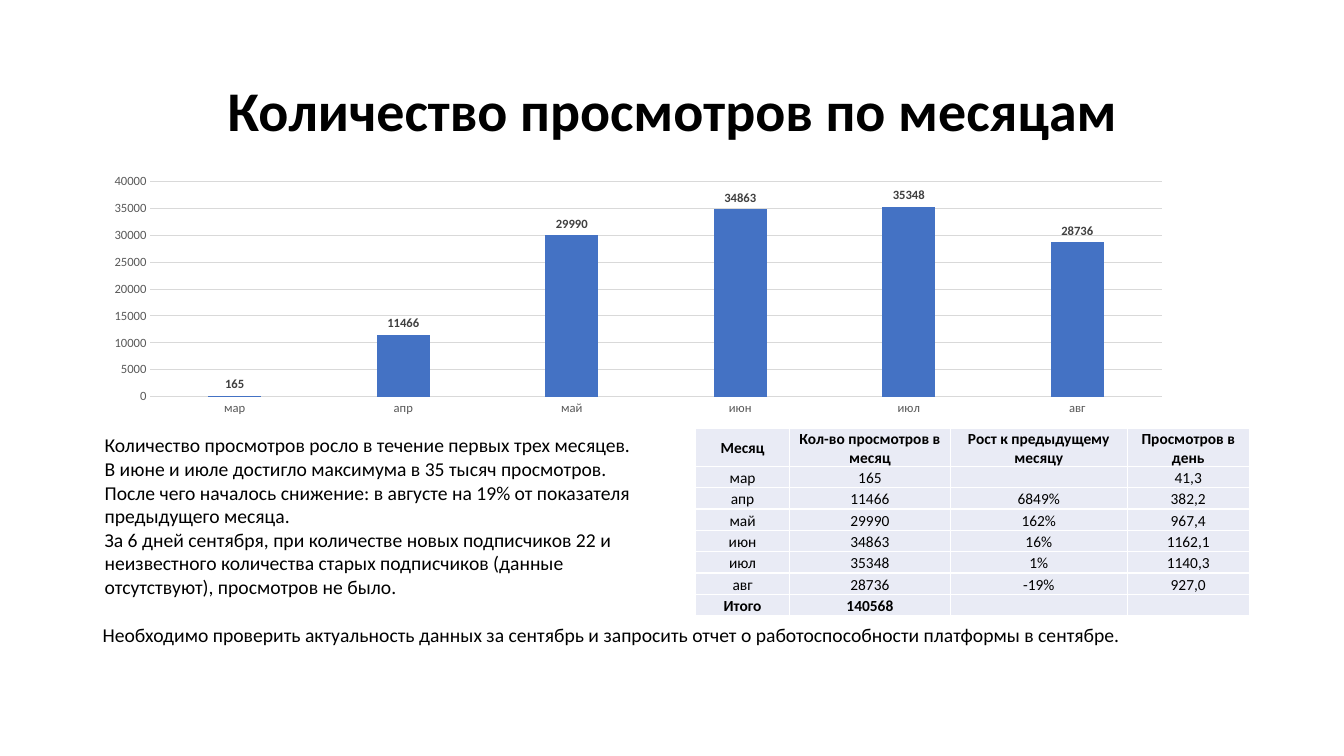
from lxml.etree import SubElement
from pptx import Presentation
from pptx.chart.data import CategoryChartData
from pptx.dml.color import RGBColor
from pptx.enum.chart import XL_CHART_TYPE as ChartType, XL_LABEL_POSITION as LabelPos, XL_TICK_MARK as Tick
from pptx.enum.text import MSO_ANCHOR as Anchor, MSO_AUTO_SIZE as AutoSize, PP_ALIGN as Align
from pptx.oxml.ns import qn
from pptx.util import Inches, Pt

BLACK = RGBColor(0x00, 0x00, 0x00)
WHITE = RGBColor(0xFF, 0xFF, 0xFF)
BLUE = RGBColor(0x44, 0x72, 0xC4)
PALE = RGBColor(0xE9, 0xEB, 0xF5)
GRID = RGBColor(0xD9, 0xD9, 0xD9)
AXIS = RGBColor(0x59, 0x59, 0x59)
LABEL = RGBColor(0x40, 0x40, 0x40)
FONT = "Calibri"

TITLE = "Количество просмотров по месяцам"
MONTHS = ["мар", "апр", "май", "июн", "июл", "авг"]
VIEWS = [165, 11466, 29990, 34863, 35348, 28736]
GROWTH = ["", "6849%", "162%", "16%", "1%", "-19%"]
DAILY = ["41,3", "382,2", "967,4", "1162,1", "1140,3", "927,0"]
HEADERS = ["Месяц", "Кол-во просмотров в месяц", "Рост к предыдущему месяцу", "Просмотров в день"]
COLUMN_SHARES = [0.17, 0.29, 0.32, 0.22]
HEADER_SHARE = 0.2
COMMENTS = [
    "Количество просмотров росло в течение первых трех месяцев.",
    "В июне и июле достигло максимума в 35 тысяч просмотров.",
    "После чего началось снижение: в августе на 19% от показателя предыдущего месяца.",
    "За 6 дней сентября, при количестве новых подписчиков 22 и неизвестного количества "
    "старых подписчиков (данные отсутствуют), просмотров не было.",
]
ACTION = ("Необходимо проверить актуальность данных за сентябрь и запросить отчет "
          "о работоспособности платформы в сентябре.")

prs = Presentation()
prs.slide_width, prs.slide_height = Inches(13.33), Inches(7.5)


def box(left, top, width, height):
    w, h = prs.slide_width / 100, prs.slide_height / 100
    return int(left * w), int(top * h), int(width * w), int(height * h)


def style(font, size, color, bold=False):
    font.name, font.size, font.bold = FONT, Pt(size), bold
    font.color.rgb = color


def add_title(slide, area):
    sp = slide.shapes.title
    sp.left, sp.top, sp.width, sp.height = area
    tf = sp.text_frame
    tf.text = TITLE
    tf.vertical_anchor = Anchor.MIDDLE
    p = tf.paragraphs[0]
    p.alignment, p.line_spacing = Align.CENTER, 0.9
    style(p.font, 40, BLACK, True)


def add_text(slide, area, lines):
    tf = slide.shapes.add_textbox(*area).text_frame
    tf.word_wrap, tf.auto_size = True, AutoSize.SHAPE_TO_FIT_TEXT
    tf.text = "\n".join(lines)
    for p in tf.paragraphs:
        style(p.font, 14, BLACK)


def add_views_chart(slide, area):
    data = CategoryChartData()
    data.categories = MONTHS
    data.add_series("Просмотры", VIEWS)
    chart = slide.shapes.add_chart(ChartType.COLUMN_CLUSTERED, *area, data).chart
    style(chart.font, 10, BLACK)
    chart.has_legend = chart.has_title = False
    for axis in (chart.category_axis, chart.value_axis):
        axis.major_tick_mark = axis.minor_tick_mark = Tick.NONE
        style(axis.tick_labels.font, 9, AXIS)
    chart.value_axis.format.line.fill.background()
    for line in (chart.category_axis.format.line, chart.value_axis.major_gridlines.format.line):
        line.color.rgb, line.width = GRID, Pt(0.75)
    plot = chart.plots[0]
    plot.gap_width, plot.overlap, plot.vary_by_categories = 219, -27, False
    fill = plot.series[0].format.fill
    fill.solid()
    fill.fore_color.rgb = BLUE
    plot.has_data_labels = True
    labels = plot.data_labels
    labels.show_value, labels.position = True, LabelPos.OUTSIDE_END
    style(labels.font, 9, LABEL, True)


def format_cell(cell, text, bold, anchor):
    cell.text, cell.vertical_anchor = text, anchor
    cell.margin_left = cell.margin_right = cell.margin_top = Inches(0.01)
    cell.margin_bottom = 0
    p = cell.text_frame.paragraphs[0]
    p.alignment = Align.CENTER
    style(p.font, 11, BLACK, bold)
    tc_pr = cell._tc.get_or_add_tcPr()
    for side in ("lnL", "lnR", "lnT", "lnB"):
        ln = SubElement(tc_pr, qn(f"a:{side}"), w=str(Pt(1)))
        SubElement(SubElement(ln, qn("a:solidFill")), qn("a:srgbClr"), val=str(WHITE))
    cell.fill.solid()
    cell.fill.fore_color.rgb = PALE


def add_views_table(slide, area):
    left, top, width, height = area
    body = [list(row) for row in zip(MONTHS, map(str, VIEWS), GROWTH, DAILY)]
    rows = [HEADERS, *body, ["Итого", str(sum(VIEWS)), "", ""]]
    last = len(rows) - 1
    table = slide.shapes.add_table(len(rows), len(HEADERS), *area).table
    table.first_row = table.horz_banding = False
    for column, share in zip(table.columns, COLUMN_SHARES):
        column.width = int(width * share)
    for i, row in enumerate(rows):
        share = HEADER_SHARE if i == 0 else (1 - HEADER_SHARE) / last
        table.rows[i].height = int(height * share)
        anchor = Anchor.BOTTOM if i else Anchor.MIDDLE
        for j, text in enumerate(row):
            format_cell(table.cell(i, j), text, i in (0, last), anchor)


def build_views_slide():
    slide = prs.slides.add_slide(prs.slide_layouts[5])
    add_title(slide, box(6.9, 5.33, 86.25, 19.33))
    add_text(slide, box(7.05, 56.67, 41.2, 23.33), COMMENTS)
    add_views_chart(slide, box(6.9, 22.4, 81.15, 33.2))
    add_views_table(slide, box(51.75, 56.67, 41.2, 24.67))
    add_text(slide, box(6.9, 81.73, 86.25, 4.53), [ACTION])


build_views_slide()
prs.save("out.pptx")
